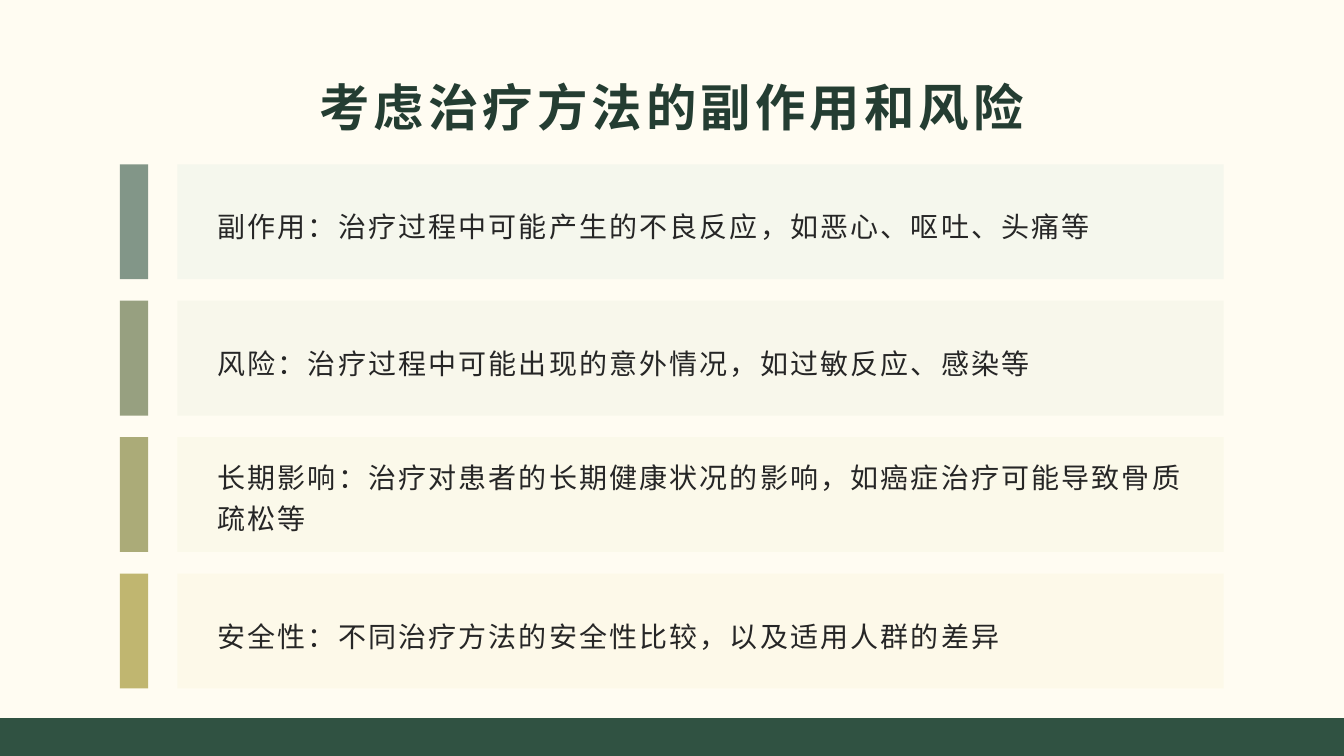
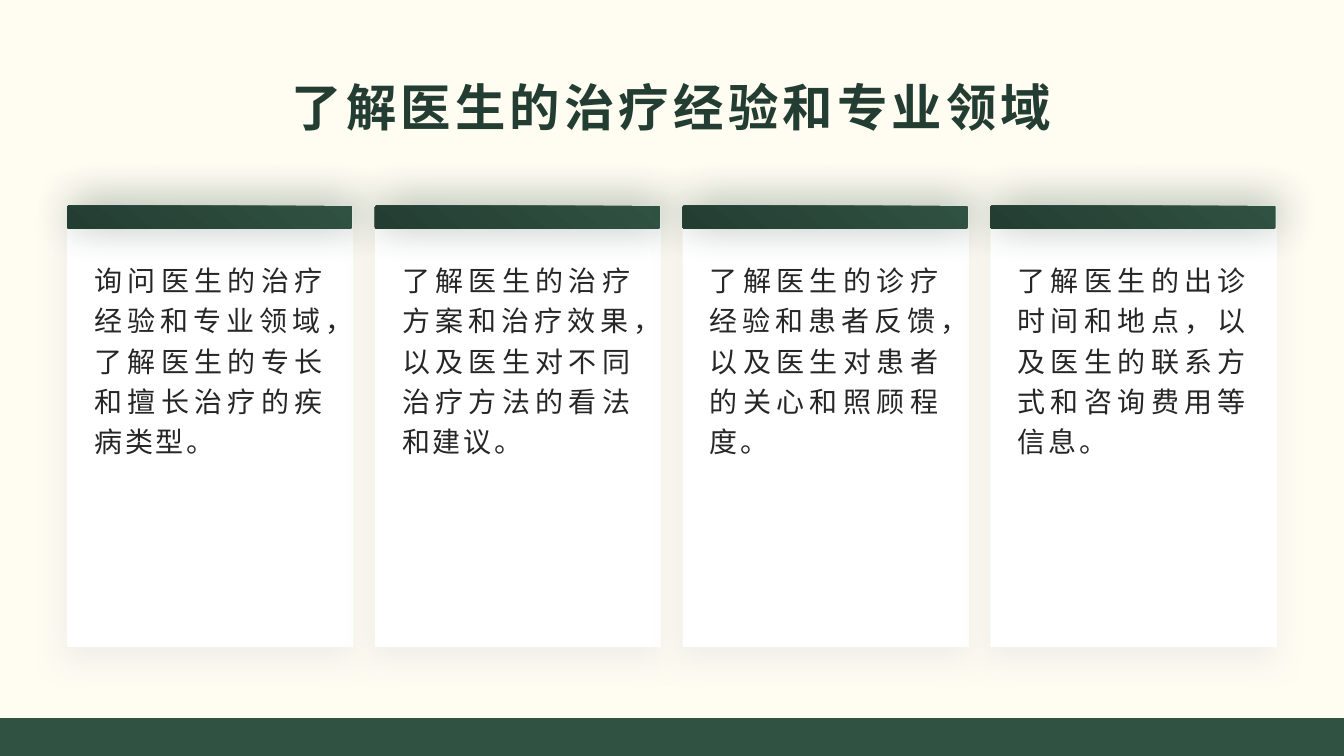
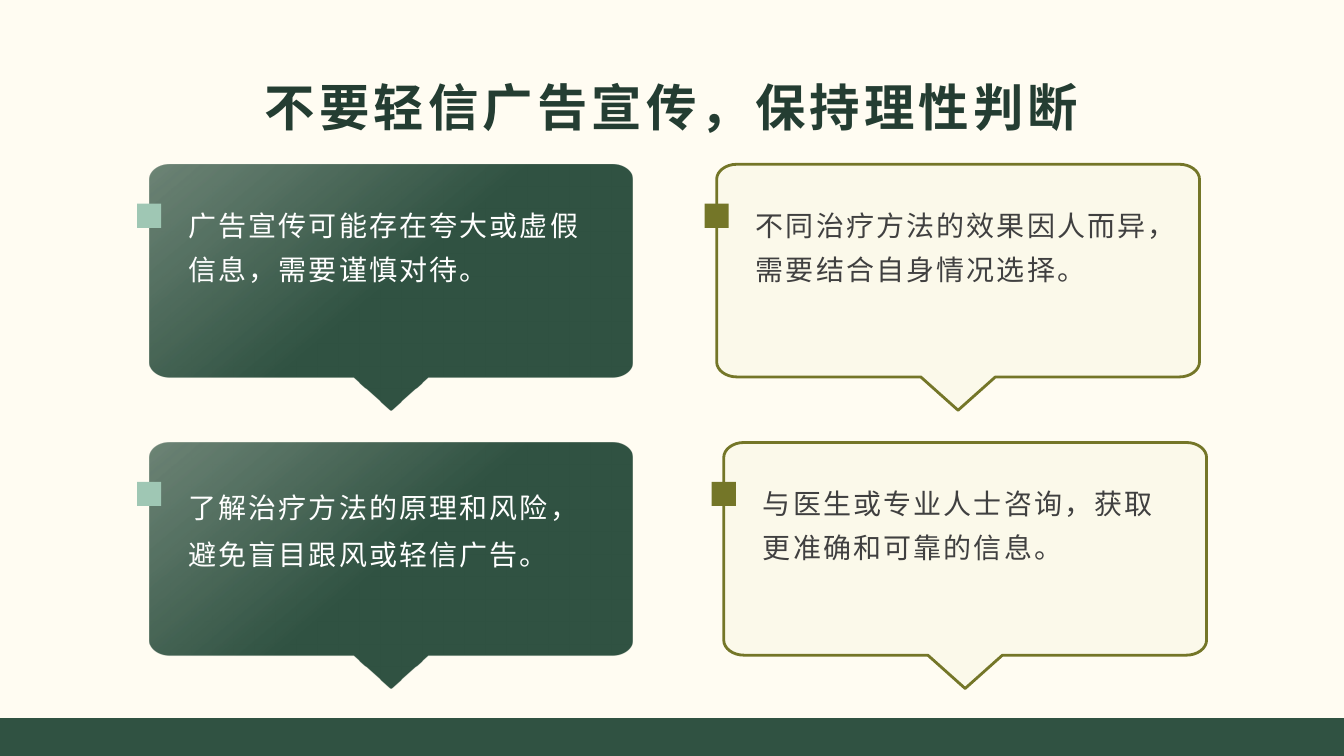
from dataclasses import dataclass

from lxml import etree
from pptx import Presentation
from pptx.dml.color import RGBColor
from pptx.enum.shapes import MSO_SHAPE
from pptx.enum.text import MSO_ANCHOR, PP_ALIGN
from pptx.oxml.ns import qn
from pptx.util import Inches, Pt

RECTANGLE = MSO_SHAPE.RECTANGLE
ROUNDED = MSO_SHAPE.ROUNDED_RECTANGLE
TOP, MIDDLE = MSO_ANCHOR.TOP, MSO_ANCHOR.MIDDLE
LEFT, CENTER, JUSTIFY = PP_ALIGN.LEFT, PP_ALIGN.CENTER, PP_ALIGN.JUSTIFY

HEIGHT = 7.5
WIDTH = HEIGHT * 16 / 9
MARGIN = WIDTH * 0.05
CONTENT_WIDTH = WIDTH * 0.9
BLANK_LAYOUT = 6
UNITS_PER_INCH = 1000
EMU_PER_UNIT = 914400 / UNITS_PER_INCH
CURVE_SHARE = 0.55


@dataclass(frozen=True)
class Theme:
    paper: str = "FFFCF2"
    green: str = "305242"
    dark_green: str = "243D32"
    mint: str = "9FC7B4"
    olive: str = "747628"
    cream: str = "ECEDCA"
    white: str = "FFFFFF"
    grey: str = "D9D9D9"
    ink: str = "262626"
    soft_ink: str = "404040"
    chinese_font: str = "Noto Sans CJK SC"
    latin_font: str = "Arial"
    title_size: int = 36
    body_size: int = 20


THEME = Theme()


def rgb(color):
    return RGBColor.from_string(color)


def spread(start, total, size, count):
    step = (total - size) / (count - 1)
    return [start + index * step for index in range(count)]


def set_alpha(color_element, share):
    etree.SubElement(color_element, qn("a:alpha"), val=str(round(share * 100000)))


def first_color(shape):
    return shape.element.spPr.find(f".//{qn('a:srgbClr')}")


def fill_solid(shape, color, alpha=1):
    shape.fill.solid()
    shape.fill.fore_color.rgb = rgb(color)
    if alpha < 1:
        set_alpha(first_color(shape), alpha)


def fill_gradient(shape, colors, angle, end=1, first_alpha=1):
    shape.fill.gradient()
    shape.fill.gradient_angle = angle
    for stop, color, position in zip(shape.fill.gradient_stops, colors, (0, end)):
        stop.color.rgb = rgb(color)
        stop.position = position
    if first_alpha < 1:
        set_alpha(first_color(shape), first_alpha)


def add_shadow(shape, color, alpha, blur, distance, direction):
    effects = shape.element.spPr.find(qn("a:effectLst"))
    outer = etree.SubElement(effects, qn("a:outerShdw"), {
        "blurRad": str(Pt(blur)), "dist": str(Pt(distance)),
        "dir": str(direction * 60000), "algn": "ctr", "rotWithShape": "0"})
    set_alpha(etree.SubElement(outer, qn("a:srgbClr"), val=color), alpha)


def add_block(page, left, top, width, height, color=None, alpha=1, kind=RECTANGLE):
    shape = page.shapes.add_shape(
        kind, Inches(left), Inches(top), Inches(width), Inches(height))
    shape.shadow.inherit = False
    shape.line.fill.background()
    if color:
        fill_solid(shape, color, alpha)
    return shape


def add_text(page, text, left, top, width, height, *, size=THEME.body_size,
             color=THEME.ink, font=THEME.chinese_font, bold=False, tracking=1.5,
             line_spacing=None, align=LEFT, anchor=TOP):
    box = page.shapes.add_textbox(
        Inches(left), Inches(top), Inches(width), Inches(height))
    frame = box.text_frame
    frame.word_wrap = True
    frame.vertical_anchor = anchor
    para = frame.paragraphs[0]
    para.alignment = align
    para.line_spacing = line_spacing
    span = para.add_run()
    span.text = text
    span.font.size = Pt(size)
    span.font.bold = bold
    span.font.color.rgb = rgb(color)
    span.font.name = font
    properties = span.font._element
    properties.set("spc", str(round(tracking * 100)))
    etree.SubElement(properties, qn("a:ea"), typeface=THEME.chinese_font)


def add_page(deck, title):
    page = deck.slides.add_slide(deck.slide_layouts[BLANK_LAYOUT])
    add_text(page, title, MARGIN, 0.67, CONTENT_WIDTH, 0.77,
             size=THEME.title_size, color=THEME.dark_green, bold=True,
             tracking=3, align=CENTER, anchor=MIDDLE)
    return page


def style_master(deck, page):
    master = deck.slide_master
    paper = master.background.fill
    paper.solid()
    paper.fore_color.rgb = rgb(THEME.paper)
    band = add_block(page, 0, HEIGHT * 0.95, WIDTH, HEIGHT * 0.05, THEME.green)
    master.shapes._spTree.append(band.element)


def add_row(page, top, height, text, panel_color, tab_color, line_spacing):
    add_block(page, 1.76, top, 10.38, height, panel_color, 0.2)
    add_block(page, 1.19, top, 0.28, height, tab_color, 0.6)
    add_text(page, text, 2.06, top + 0.1, 9.93, height - 0.2,
             line_spacing=line_spacing, anchor=MIDDLE)


def add_card(page, left, width, text):
    top = 2.04
    card = add_block(page, left, top, width, 4.38, THEME.white, kind=ROUNDED)
    card.adjustments[0] = 0
    add_shadow(card, THEME.grey, 0.4, 22, 9, 106)
    header = add_block(page, left, top, width - 0.01, 0.23, kind=ROUNDED)
    header.adjustments[0] = 0.08
    fill_gradient(header, (THEME.green, THEME.dark_green), 230)
    add_shadow(header, THEME.green, 0.45, 30, 5, 315)
    add_text(page, text, left + 0.17, 2.5, width - 0.35, 3.73,
             tracking=2, line_spacing=1.2, align=JUSTIFY)


def bubble_outline(left, top, width, body, tip):
    radius_x, radius_y, half_tip = 0.2, 0.15, 0.37
    right, bottom, middle = left + width, top + body, left + width / 2
    near_x, far_x = left + radius_x, right - radius_x
    near_y, far_y = top + radius_y, bottom - radius_y
    return [
        (near_x, top), (far_x, top), (right, near_y), (right, far_y),
        (far_x, bottom), (middle + half_tip, bottom), (middle, bottom + tip),
        (middle - half_tip, bottom), (near_x, bottom), (left, far_y),
        (left, near_y), (near_x, top),
    ]


def round_corners(shape):
    horizontal_first = {2: True, 4: False, 9: True, 11: False}
    points = list(shape.element.spPr.iter(qn("a:pt")))
    places = [(int(point.get("x")), int(point.get("y"))) for point in points]
    for index, horizontal in horizontal_first.items():
        start, end = places[index - 1], places[index]
        vertex = (end[0], start[1]) if horizontal else (start[0], end[1])
        segment = points[index].getparent()
        segment.tag = qn("a:cubicBezTo")
        for order, base in enumerate((start, end)):
            x, y = (round(a + CURVE_SHARE * (b - a)) for a, b in zip(base, vertex))
            control = etree.Element(qn("a:pt"), x=str(x), y=str(y))
            segment.insert(order, control)


def add_bubble(page, left, top, text, filled, line_spacing=1.3):
    points = [(x * UNITS_PER_INCH, y * UNITS_PER_INCH)
              for x, y in bubble_outline(left, top, 4.79, 2.11, 0.33)]
    builder = page.shapes.build_freeform(*points[0], scale=EMU_PER_UNIT)
    builder.add_line_segments(points[1:], close=True)
    bubble = builder.convert_to_shape()
    round_corners(bubble)
    bubble.shadow.inherit = False
    if filled:
        fill_gradient(bubble, (THEME.green, THEME.green), 310, 0.5, 0.7)
        bubble.line.fill.background()
    else:
        fill_solid(bubble, THEME.cream, 0.2)
        bubble.line.color.rgb = rgb(THEME.olive)
        bubble.line.width = Pt(2)
    marker = 0.24
    add_block(page, left - marker / 2, top + 0.39, marker, marker,
              THEME.mint if filled else THEME.olive)
    add_text(page, text, left + 0.29, top + 0.29, 4.21, 1.38,
             color=THEME.white if filled else THEME.soft_ink,
             font=THEME.latin_font, line_spacing=line_spacing)


def build_risks(deck):
    page = add_page(deck, "考虑治疗方法的副作用和风险")
    style_master(deck, page)
    rows = [
        ("副作用：治疗过程中可能产生的不良反应，如恶心、呕吐、头痛等",
         "CFE3DA", THEME.green, 1.3),
        ("风险：治疗过程中可能出现的意外情况，如过敏反应、感染等",
         "DEE6D0", "526435", 1.3),
        ("长期影响：治疗对患者的长期健康状况的影响，如癌症治疗可能导致骨质疏松等",
         THEME.cream, THEME.olive, 1.2),
        ("安全性：不同治疗方法的安全性比较，以及适用人群的差异",
         "F5F0C6", "97881A", 1.3),
    ]
    height = 1.14
    for top, row in zip(spread(1.63, 5.2, height, len(rows)), rows):
        add_row(page, top, height, *row)


def build_experience(deck):
    page = add_page(deck, "了解医生的治疗经验和专业领域")
    cards = [
        "询问医生的治疗经验和专业领域，了解医生的专长和擅长治疗的疾病类型。",
        "了解医生的治疗方案和治疗效果，以及医生对不同治疗方法的看法和建议。",
        "了解医生的诊疗经验和患者反馈，以及医生对患者的关心和照顾程度。",
        "了解医生的出诊时间和地点，以及医生的联系方式和咨询费用等信息。",
    ]
    width = 2.84
    for left, text in zip(spread(MARGIN, CONTENT_WIDTH, width, len(cards)), cards):
        add_card(page, left, width, text)


def build_judgement(deck):
    page = add_page(deck, "不要轻信广告宣传，保持理性判断")
    upper, lower = 1.63, 4.39
    add_bubble(page, 1.48, upper, "广告宣传可能存在夸大或虚假信息，需要谨慎对待。", True)
    add_bubble(page, 7.11, upper, "不同治疗方法的效果因人而异，需要结合自身情况选择。", False)
    add_bubble(page, 1.48, lower, "了解治疗方法的原理和风险，避免盲目跟风或轻信广告。",
               True, line_spacing=1.4)
    add_bubble(page, 7.18, lower, "与医生或专业人士咨询，获取更准确和可靠的信息。", False)


def main():
    deck = Presentation()
    deck.slide_width, deck.slide_height = Inches(WIDTH), Inches(HEIGHT)
    build_risks(deck)
    build_experience(deck)
    build_judgement(deck)
    deck.save("out.pptx")


if __name__ == "__main__":
    main()
